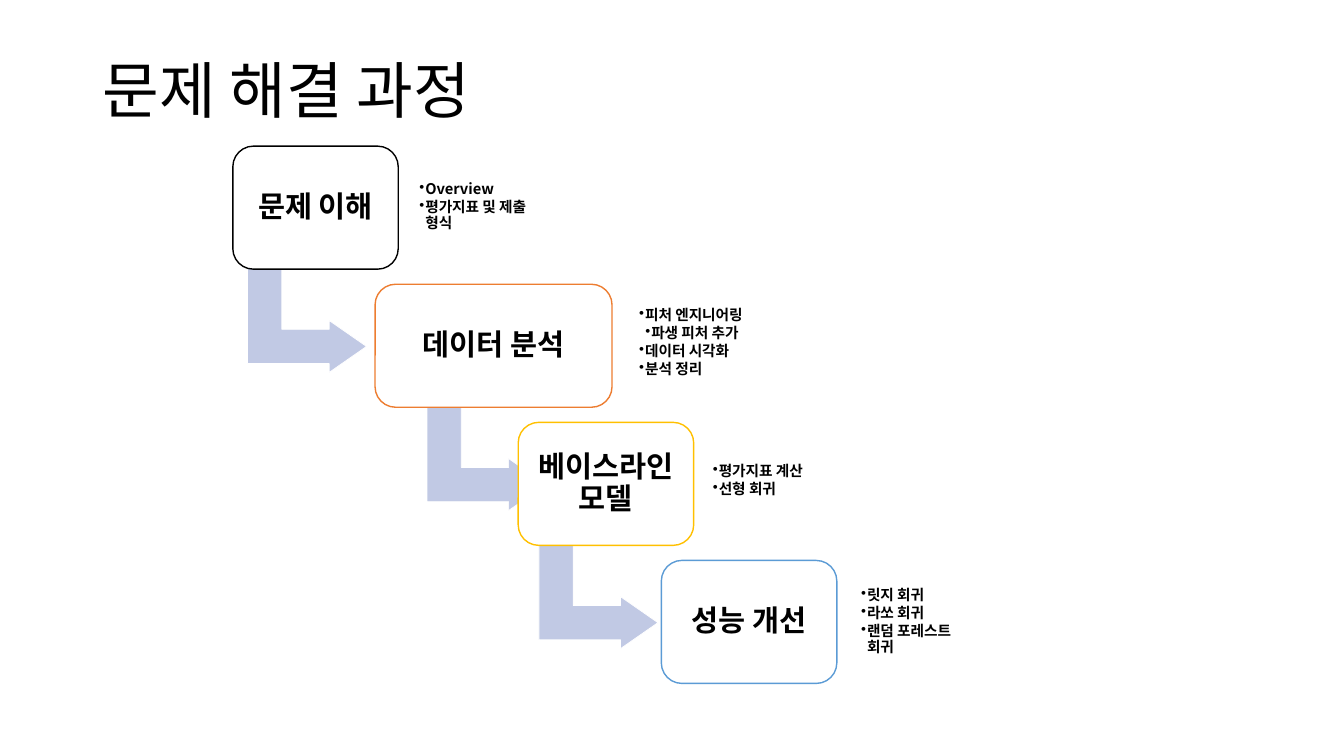
from pptx import Presentation
from pptx.dml.color import RGBColor
from pptx.enum.shapes import MSO_SHAPE
from pptx.enum.text import MSO_ANCHOR, PP_ALIGN
from pptx.oxml.ns import qn
from pptx.util import Emu, Pt
from lxml.etree import SubElement

FONT = "Noto Sans CJK KR"
BLACK = RGBColor(0x00, 0x00, 0x00)
WHITE = RGBColor(0xFF, 0xFF, 0xFF)
ORANGE = RGBColor(0xED, 0x7D, 0x31)
GOLD = RGBColor(0xFF, 0xC0, 0x00)
BLUE = RGBColor(0x5B, 0x9B, 0xD5)
LILAC = RGBColor(0xC1, 0xC9, 0xE4)

TOP, PITCH = 145, 137
BOX_H = 122
ARROW_W, ARROW_H, ARROW_DROP = 103, 118, 114
NOTE_W, NOTE_H = 127, 98
INDENT = 6

# label, line colour, box left, box width, arrow left, note left, note top, notes (level, text)
STEPS = [
    ("문제 이해", BLACK, 231, 164, 253, 411, 156,
     [(1, "Overview"), (1, "평가지표 및 제출 형식")]),
    ("데이터 분석", ORANGE, 372, 235, 431, 629, 291,
     [(1, "피처 엔지니어링"), (2, "파생 피처 추가"), (1, "데이터 시각화"), (1, "분석 정리")]),
    ("베이스라인 모델", GOLD, 514, 174, 542, 702, 428,
     [(1, "평가지표 계산"), (1, "선형 회귀")]),
    ("성능 개선", BLUE, 656, 174, None, 849, 568,
     [(1, "릿지 회귀"), (1, "라쏘 회귀"), (1, "랜덤 포레스트 회귀")]),
]


def px(count):
    """100 px to the inch."""
    return Emu(count * 9144)


def style(para, size, bold=False):
    para.line_spacing = 0.9
    for run in para.runs:
        font = run.font
        font.name, font.size, font.bold = FONT, Pt(size), bold
        font.color.rgb = BLACK
        SubElement(font._element, qn("a:ea")).set("typeface", FONT)


def set_frame(frame, side, edge):
    frame.word_wrap = True
    frame.vertical_anchor = MSO_ANCHOR.MIDDLE
    frame.margin_left = frame.margin_right = px(side)
    frame.margin_top = frame.margin_bottom = px(edge)


def add_text(slide, left, top, width, height, side, edge):
    frame = slide.shapes.add_textbox(px(left), px(top), px(width), px(height)).text_frame
    set_frame(frame, side, edge)
    return frame


def add_form(slide, kind, left, top, width, height, fill, line, weight):
    form = slide.shapes.add_shape(kind, px(left), px(top), px(width), px(height))
    form.shadow.inherit = False
    form.fill.solid()
    form.fill.fore_color.rgb = fill
    form.line.color.rgb = line
    form.line.width = Pt(weight)
    return form


def add_title(slide, text):
    frame = add_text(slide, 92, 20, 1150, 145, 10, 5)
    frame.text = text
    style(frame.paragraphs[0], 44)


def add_arrow(slide, left, top):
    arrow = add_form(slide, MSO_SHAPE.BENT_UP_ARROW, left, top,
                     ARROW_W, ARROW_H, LILAC, WHITE, 0.5)
    arrow.rotation = 90
    for index, value in enumerate((0.33, 0.25, 0.36)):
        arrow.adjustments[index] = value


def add_box(slide, left, top, width, label, line):
    box = add_form(slide, MSO_SHAPE.ROUNDED_RECTANGLE, left, top,
                   width, BOX_H, WHITE, line, 1)
    set_frame(box.text_frame, 9, 9)
    box.text_frame.text = label
    para = box.text_frame.paragraphs[0]
    para.alignment = PP_ALIGN.CENTER
    style(para, 21, True)


def add_notes(slide, left, top, notes):
    frame = add_text(slide, left, top, NOTE_W, NOTE_H, 5, 5)
    frame.text = "\n".join(text for _, text in notes)
    for para, (level, _) in zip(frame.paragraphs, notes):
        para.level = level
        style(para, 10.5, True)
        para.space_after = Pt(1.5)
        props = para._p.get_or_add_pPr()
        props.set("marL", str(px(INDENT * level)))
        props.set("indent", str(px(-INDENT)))
        SubElement(props, qn("a:buChar")).set("char", "•")


def main():
    deck = Presentation()
    deck.slide_width, deck.slide_height = px(1333), px(750)
    slide = deck.slides.add_slide(deck.slide_layouts[6])
    add_title(slide, "문제 해결 과정")
    for index, step in enumerate(STEPS):
        label, line, left, width, bend, note_left, note_top, notes = step
        top = TOP + PITCH * index
        if bend is not None:
            add_arrow(slide, bend, top + ARROW_DROP)
        add_box(slide, left, top, width, label, line)
        add_notes(slide, note_left, note_top, notes)
    deck.save("out.pptx")


if __name__ == "__main__":
    main()
